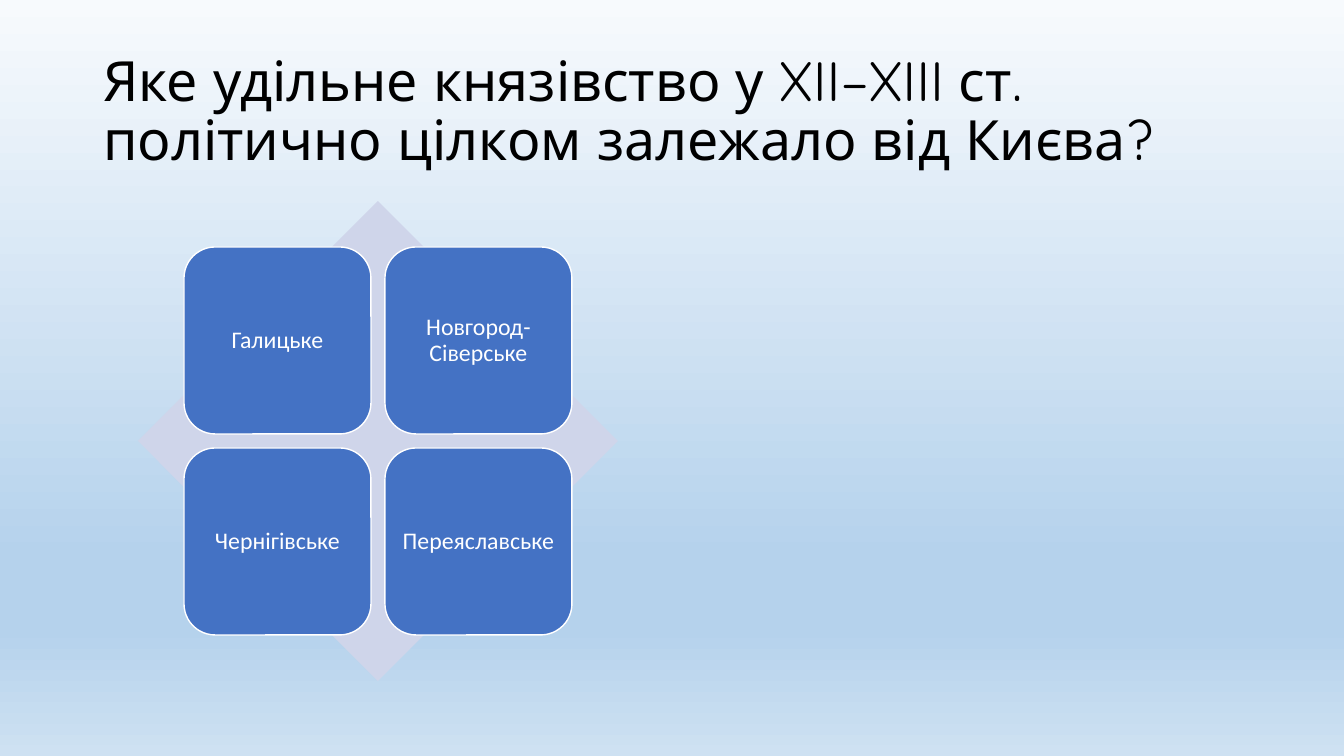
from dataclasses import dataclass

from lxml import etree
from pptx import Presentation
from pptx.dml.color import RGBColor
from pptx.enum import shapes, text
from pptx.oxml import ns
from pptx.util import Emu, Pt

PX = 914400 / 100.8
QUESTION = "Яке удільне князівство у XII–XIII ст. політично цілком залежало від Києва?"
ANSWERS = ["Галицьке", "Новгород-Сіверське", "Чернігівське", "Переяславське"]


@dataclass(frozen=True)
class Theme:
    """Colours, fonts and type sizes of the slide."""
    sky: tuple = ((0, "F7FAFD"), (74, "B5D2EC"), (83, "B5D2EC"), (100, "CEE1F2"))
    diamond: str = "CFD5EA"
    tile: str = "4472C4"
    white: str = "FFFFFF"
    black: str = "000000"
    title_font: str = "Quicksand"
    body_font: str = "Calibri"
    title_size: float = 39.6
    body_size: float = 17


THEME = Theme()


def px(length):
    """Turn pixels into EMU."""
    return Emu(round(length * PX))


def paint_background(slide, stops):
    """Fill the background with a top-to-bottom gradient."""
    fill = slide.background.fill
    fill.gradient()
    fill.gradient_angle = 270
    gradient = slide.element.xpath(".//p:bg//a:gsLst")[0]
    for old in list(gradient):
        gradient.remove(old)
    for percent, colour in stops:
        stop = etree.SubElement(gradient, ns.qn("a:gs"), pos=str(percent * 1000))
        etree.SubElement(stop, ns.qn("a:srgbClr"), val=colour)


def write(frame, words, font, size, colour, align):
    """Write one vertically centred paragraph."""
    frame.word_wrap = True
    frame.auto_size = text.MSO_AUTO_SIZE.NONE
    frame.vertical_anchor = text.MSO_ANCHOR.MIDDLE
    paragraph = frame.paragraphs[0]
    paragraph.text = words
    paragraph.alignment = align
    paragraph.line_spacing = 0.9
    paragraph.font.name = font
    paragraph.font.size = Pt(size)
    paragraph.font.color.rgb = RGBColor.from_string(colour)


def set_title(slide, words):
    """Place and fill the title placeholder."""
    title = slide.shapes.title
    title.left, title.top, title.width, title.height = map(px, (93, 40, 1159, 146))
    write(title.text_frame, words, THEME.title_font, THEME.title_size,
          THEME.black, text.PP_ALIGN.LEFT)


def add_block(group, kind, left, top, side, colour):
    """Add a flat square-bounded shape without an outline."""
    block = group.shapes.add_shape(kind, px(left), px(top), px(side), px(side))
    block.shadow.inherit = False
    block.fill.solid()
    block.fill.fore_color.rgb = RGBColor.from_string(colour)
    block.line.fill.background()
    return block


def add_answer(group, words, left, top, side):
    """Add a rounded tile holding one answer."""
    tile = add_block(group, shapes.MSO_SHAPE.ROUNDED_RECTANGLE, left, top, side, THEME.tile)
    tile.line.color.rgb = RGBColor.from_string(THEME.white)
    tile.line.width = Pt(1)
    frame = tile.text_frame
    frame.margin_left = frame.margin_right = px(7)
    frame.margin_top = frame.margin_bottom = px(7)
    write(frame, words, THEME.body_font, THEME.body_size,
          THEME.white, text.PP_ALIGN.CENTER)


def add_answer_matrix(slide, answers):
    """Lay the answers two by two over a diamond."""
    matrix = slide.shapes.add_group_shape()
    add_block(matrix, shapes.MSO_SHAPE.DIAMOND, 138, 201, 480, THEME.diamond)
    side, gap = 187, 14
    for index, answer in enumerate(answers):
        row, column = divmod(index, 2)
        add_answer(matrix, answer, 184 + column * (side + gap),
                   247 + row * (side + gap), side)


def main():
    """Build and save the quiz slide."""
    deck = Presentation()
    deck.slide_width, deck.slide_height = px(1344), px(756)
    slide = deck.slides.add_slide(deck.slide_layouts[5])
    paint_background(slide, THEME.sky)
    set_title(slide, QUESTION)
    add_answer_matrix(slide, ANSWERS)
    deck.save("out.pptx")


if __name__ == "__main__":
    main()
